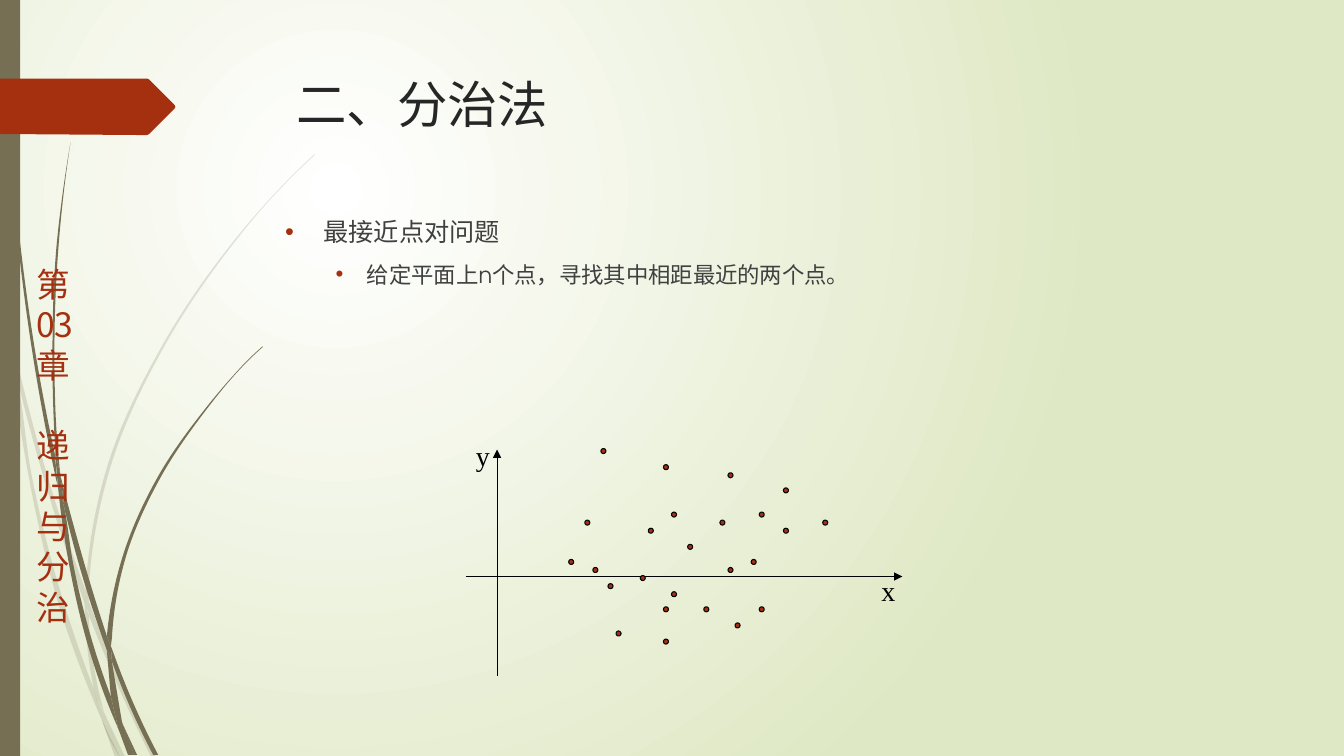
import math

import pptx
import pptx.dml.color
import pptx.enum.shapes
import pptx.enum.text
import pptx.oxml.ns
import pptx.util
from lxml import etree

PX = 9144
RUST, OLIVE, BLACK = "A53010", "766F54", "000000"
SANS, CJK, SERIF = "TeX Gyre Adventor", "Noto Sans CJK JP", "Times New Roman"
qn = pptx.oxml.ns.qn
MSO_SHAPE = pptx.enum.shapes.MSO_SHAPE

FAINT_BLADES = [
    ([(11, 350), (9, 322), (0, 282)], [(0, 299), (10, 344), (11, 350)]),
    ([(14, 345), (17, 376)], [(17, 376), (58, 522), (84, 599)], [(85, 586), (62, 520), (14, 345)]),
    ([(88, 596)], [(88, 610), (123, 694), (150, 751)], [(155, 751), (127, 692), (92, 607), (88, 596)]),
    ([(119, 751), (124, 751)], [(105, 711), (119, 751)]),
    ([(11, 350), (28, 470), (65, 621), (92, 693), (101, 714)], [(99, 707)],
     [(93, 683), (70, 619), (31, 469), (17, 376), (11, 350)]),
    ([(84, 599), (87, 646), (93, 683)], [(96, 692), (105, 711)],
     [(103, 706), (91, 646), (88, 610)], [(84, 599)]),
    ([(88, 596)], [(88, 584), (110, 462), (160, 349), (229, 245), (268, 198), (290, 175), (312, 154)],
     [(312, 153), (289, 175), (268, 197), (228, 244), (158, 348), (107, 461), (85, 584)], [(85, 586)]),
    ([(101, 714), (114, 751)], [(119, 751), (101, 714)]),
    ([(88, 608), (88, 596)], [(85, 586), (84, 599)]),
    ([(93, 683), (99, 707), (101, 714), (119, 751)], [(105, 711), (96, 692), (93, 683)]),
]
DARK_BLADES = [
    ([(3, 0), (4, 48), (7, 110), (17, 233), (33, 355), (56, 477)], [(57, 481)],
     [(55, 457)], [(55, 453), (36, 355), (19, 232), (8, 109), (5, 48), (4, 0)]),
    ([(60, 472), (64, 505)], [(64, 505), (88, 592), (106, 645)], [(106, 631), (93, 590), (60, 472)]),
    ([(110, 641)], [(111, 656), (132, 708), (152, 749)], [(157, 749), (136, 706), (113, 649)]),
    ([(57, 477), (68, 557), (93, 659), (111, 708), (117, 722)], [(116, 717)],
     [(110, 691), (98, 657), (72, 556), (64, 505), (57, 477)]),
    ([(60, 472), (58, 453), (54, 349), (58, 245), (63, 193), (70, 141)],
     [(70, 141), (62, 193), (56, 245), (52, 349), (55, 449)]),
    ([(133, 749), (136, 749)], [(122, 719), (133, 749)]),
    ([(57, 477), (64, 505)], [(60, 472), (55, 449)], [(55, 453)]),
    ([(111, 633), (125, 552), (158, 476), (205, 406), (231, 374), (245, 359), (261, 344)],
     [(260, 344), (245, 358), (231, 373), (204, 405), (156, 474), (122, 551), (106, 631)], [(110, 641)]),
    ([(117, 722), (127, 749)], [(131, 749)]),
    ([(106, 645), (110, 691)], [(116, 706), (122, 719)], [(121, 716), (111, 656)]),
    ([(106, 645), (111, 656)], [(110, 641), (106, 631)]),
    ([(110, 691), (116, 717)], [(117, 722), (130, 749)], [(133, 749), (122, 719), (110, 691)]),
]
POINT_CELLS = [
    (0, 14), (4, 0), (12, 2), (20, 3), (13, 8), (19, 9), (27, 10), (20, 15), (2, 9),
    (10, 10), (3, 15), (9, 16), (15, 12), (23, 14), (24, 20), (17, 20), (21, 22),
    (12, 20), (24, 8), (32, 9), (5, 17), (13, 18), (6, 23), (12, 24), (27, 5),
]


def px(length):
    return pptx.util.Emu(round(length * PX))


def color(value):
    return pptx.dml.color.RGBColor.from_string(value)


def paint(shape, fill, outline=None):
    shape.shadow.inherit = False
    shape.fill.solid()
    shape.fill.fore_color.rgb = color(fill)
    if outline:
        shape.line.color.rgb = color(outline)
        shape.line.width = pptx.util.Pt(0.75)
    else:
        shape.line.fill.background()


def bend(edge):
    if len(edge) < 3:
        return [None] * (len(edge) - 1)
    spans = [math.dist(a, b) for a, b in zip(edge, edge[1:])]
    slopes = [((c - a) / h, (d - b) / h) for (a, b), (c, d), h in zip(edge, edge[1:], spans)]
    inner = [tuple((u * k + v * h) / (h + k) for u, v in zip(before, after))
             for before, after, h, k in zip(slopes, slopes[1:], spans, spans[1:])]
    first, last = (tuple(2 * u - v for u, v in zip(slopes[end], inner[end])) for end in (0, -1))
    tangents = [first, *inner, last]
    return [((a + m[0] * h / 3, b + m[1] * h / 3), (c - n[0] * h / 3, d - n[1] * h / 3))
            for (a, b), (c, d), m, n, h in zip(edge, edge[1:], tangents, tangents[1:], spans)]


def add_outline(slide, box, edges, fill):
    joints = [(edges[0][0], None)]
    for edge in edges:
        if edge[0] != joints[-1][0]:
            joints.append((edge[0], None))
        joints += zip(edge[1:], bend(edge))
    corners = [(px(box[0] + x), px(box[1] + y)) for (x, y), handles in joints]
    builder = slide.shapes.build_freeform(*corners[0], scale=1.0)
    builder.add_line_segments(corners[1:], close=True)
    outline = builder.convert_to_shape()
    sides = list(outline._element.iter(qn("a:lnTo")))
    for side, (corner, handles) in zip(sides, joints[1:]):
        if handles:
            side.tag = qn("a:cubicBezTo")
            for position, (x, y) in enumerate(handles):
                handle = etree.Element(qn("a:pt"), x=str(px(box[0] + x) - outline.left),
                                       y=str(px(box[1] + y) - outline.top))
                side.insert(position, handle)
    paint(outline, fill)
    return outline


def add_text(slide, box, lines, sizes, font, ink, wrap=True):
    frame = slide.shapes.add_textbox(*map(px, box)).text_frame
    frame.word_wrap = wrap
    frame.text = "\n".join(lines)
    for paragraph, size in zip(frame.paragraphs, sizes):
        for run in paragraph.runs:
            run.font.size = pptx.util.Pt(size)
            run.font.name = font
            run.font.color.rgb = color(ink)
            etree.SubElement(run.font._element, qn("a:ea"), typeface=font)
    return frame


def add_background(slide):
    fill = slide.background.fill
    fill.gradient()
    for position, (stop, shade) in enumerate(zip(fill.gradient_stops, ("FFFFFF", "DFE8C4"))):
        stop.color.rgb = color(shade)
        stop.position = position
    gradient = slide.element.find(".//" + qn("a:gradFill"))
    gradient.remove(gradient.find(qn("a:lin")))
    circle = etree.SubElement(gradient, qn("a:path"), path="circle")
    etree.SubElement(circle, qn("a:fillToRect"), l="50000", t="50000", r="100000", b="100000")


def add_grass(slide, box):
    for edges in FAINT_BLADES:
        blade = add_outline(slide, box, edges, OLIVE)
        tint = blade._element.spPr.find(".//" + qn("a:srgbClr"))
        etree.SubElement(tint, qn("a:alpha"), val="20000")
    for edges in DARK_BLADES:
        add_outline(slide, box, edges, OLIVE)


def add_sidebar(slide, box):
    left, top, width, height = box
    strip = slide.shapes.add_shape(MSO_SHAPE.RECTANGLE, *map(px, (left, top, 20, height)))
    paint(strip, OLIVE)
    chapter = ["第", "03", "章", "递", "归", "与", "分", "治"]
    label = add_text(slide, (left + 26, top + 257, 59, 374), chapter, [24] * 8, CJK, RUST, False)
    for paragraph in label.paragraphs:
        paragraph.line_spacing = pptx.util.Pt(28.8)
    label.paragraphs[3].space_before = pptx.util.Pt(28.8)
    banner = [(173, 30), (148, 55), (146, 56), (136, 56), (0, 55), (0, 0), (146, 0), (148, 1), (173, 26), (174, 28)]
    add_outline(slide, (left, top + 78), [[corner] for corner in banner], RUST)


def add_body(slide, box):
    lines = ["最接近点对问题", "给定平面上n个点，寻找其中相距最近的两个点。"]
    body = add_text(slide, box, lines, [18, 16], SANS, "404040")
    for level, (paragraph, margin, hanging) in enumerate(zip(body.paragraphs, (38, 81), (38, 31))):
        paragraph.level = level
        paragraph.space_before = pptx.util.Pt(10)
        properties = paragraph._p.get_or_add_pPr()
        properties.set("marL", str(px(margin)))
        properties.set("indent", str(px(-hanging)))
        bullet_color = etree.SubElement(properties, qn("a:buClr"))
        etree.SubElement(bullet_color, qn("a:srgbClr"), val=RUST)
        etree.SubElement(properties, qn("a:buFont"), typeface="Arial")
        etree.SubElement(properties, qn("a:buChar"), char="•")


def add_axis(slide, start, end):
    axis = slide.shapes.add_connector(
        pptx.enum.shapes.MSO_CONNECTOR.STRAIGHT, *map(px, (*start, *end)))
    axis.line.color.rgb = color(BLACK)
    axis.line.width = pptx.util.Pt(0.75)
    etree.SubElement(axis.line._get_or_add_ln(), qn("a:tailEnd"), type="triangle")
    etree.SubElement(axis._element.spPr, qn("a:effectLst"))


def add_scatter(slide, box):
    left, top, width, height = box
    add_axis(slide, (left, top + 142), (left + width, top + 142))
    add_axis(slide, (left + 31, top + height), (left + 31, top + 16))
    for letter, x, y in (("x", 402, 134), ("y", 0, 0)):
        label = add_text(slide, (left + x, top + y, 34, 43), [letter], [20], SERIF, BLACK, False)
        label.paragraphs[0].alignment = pptx.enum.text.PP_ALIGN.CENTER
    for column, row in POINT_CELLS:
        x, y = (round(start + cell * 63 / 8) for start, cell in ((left + 102, column), (top + 15, row)))
        point = slide.shapes.add_shape(MSO_SHAPE.OVAL, *map(px, (x, y, 5, 5)))
        paint(point, RUST, BLACK)


def main():
    deck = pptx.Presentation()
    deck.slide_width, deck.slide_height = px(1333), px(750)
    slide = deck.slides.add_slide(deck.slide_layouts[6])
    add_background(slide)
    add_grass(slide, (0, 0, 312, 750))
    add_sidebar(slide, (0, 0, 174, 750))
    add_text(slide, (284, 68, 975, 140), ["二、分治法"], [36], SANS, "262626")
    add_body(slide, (273, 210, 843, 189))
    add_scatter(slide, (462, 430, 433, 241))
    deck.save("out.pptx")


if __name__ == "__main__":
    main()
